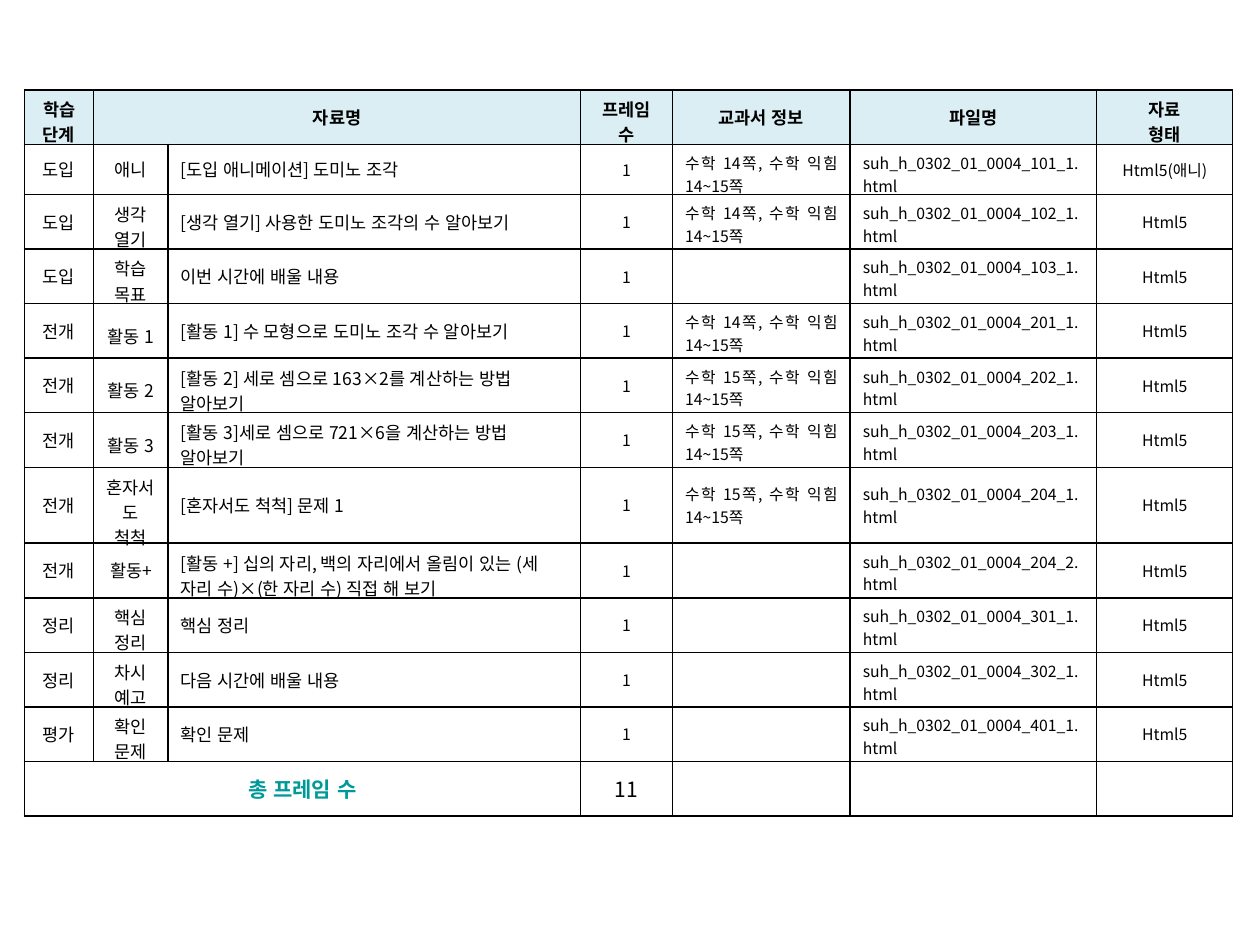
from math import ceil

from lxml import etree
from pptx import Presentation
from pptx.dml.color import RGBColor
from pptx.enum.text import MSO_ANCHOR, PP_ALIGN
from pptx.oxml.ns import qn
from pptx.util import Cm, Pt

CENTER = PP_ALIGN.CENTER
LEFT = PP_ALIGN.LEFT
JUSTIFY = PP_ALIGN.JUSTIFY
MIDDLE = MSO_ANCHOR.MIDDLE

FONT = "Noto Sans CJK KR"
COLORS = {"text": "000000", "border": "000000", "header": "DBEEF4", "total": "009999"}

COLUMN_WIDTHS = [1.4, 1.5, 8.31, 1.86, 3.58, 4.97, 2.74]
CHARACTERS_PER_LINE = [3, 3, 30, 4, 12, 16, 12]
ROW_HEIGHT = 1.1
SPECIAL_ROW_HEIGHTS = {1: 1.01, 7: 1.53}
MARGIN = 0.13
LINE_HEIGHT_PER_POINT = 0.05

BODY_STYLES = [
    (10, CENTER),
    (10, CENTER),
    (10, LEFT),
    (9, CENTER),
    (9, JUSTIFY),
    (9, JUSTIFY),
    (9, CENTER),
]

HEADER = ["학습 단계", "자료명", "", "프레임 수", "교과서 정보", "파일명", "자료\n형태"]
TOTAL = ["총 프레임 수", "", "", "11", "", "", ""]
LESSONS = [
    ("도입", "애니", "[도입 애니메이션] 도미노 조각", "14", "101_1"),
    ("도입", "생각 열기", "[생각 열기] 사용한 도미노 조각의 수 알아보기", "14", "102_1"),
    ("도입", "학습 목표", "이번 시간에 배울 내용", "", "103_1"),
    ("전개", "활동 1", "[활동 1] 수 모형으로 도미노 조각 수 알아보기", "14", "201_1"),
    ("전개", "활동 2", "[활동 2] 세로 셈으로 163×2를 계산하는 방법 알아보기", "15", "202_1"),
    ("전개", "활동 3", "[활동 3]세로 셈으로 721×6을 계산하는 방법 알아보기", "15", "203_1"),
    ("전개", "혼자서도 척척", "[혼자서도 척척] 문제 1", "15", "204_1"),
    ("전개", "활동+",
     "[활동 +] 십의 자리, 백의 자리에서 올림이 있는 (세 자리 수)×(한 자리 수) 직접 해 보기",
     "", "204_2"),
    ("정리", "핵심 정리", "핵심 정리", "", "301_1"),
    ("정리", "차시 예고", "다음 시간에 배울 내용", "", "302_1"),
    ("평가", "확인 문제", "확인 문제", "", "401_1"),
]


def lesson_texts(stage, activity, title, page, file_code):
    textbook = f"수학 {page}쪽, 수학 익힘 14~15쪽" if page else ""
    file_name = f"suh_h_0302_01_0004_{file_code}.html"
    file_type = "Html5(애니)" if activity == "애니" else "Html5"
    return [stage, activity, title, "1", textbook, file_name, file_type]


def bottom_margin(text, column, size, height):
    lines = ceil(len(text) / CHARACTERS_PER_LINE[column]) + text.count("\n")
    text_height = lines * size * LINE_HEIGHT_PER_POINT
    free = height - MARGIN - text_height * 1.022 - 0.01
    return round(min(MARGIN, free), 2)


def add_borders(cell):
    properties = cell._tc.get_or_add_tcPr()
    for side in ("a:lnL", "a:lnR", "a:lnT", "a:lnB"):
        line = etree.SubElement(properties, qn(side), w=str(Pt(1)))
        fill = etree.SubElement(line, qn("a:solidFill"))
        etree.SubElement(fill, qn("a:srgbClr"), val=COLORS["border"])


def format_paragraph(paragraph, size, alignment, color, bold):
    paragraph.alignment = alignment
    font = paragraph.font
    font.name = FONT
    font.size = Pt(size)
    font.bold = bold
    font.color.rgb = RGBColor.from_string(color)
    defaults = paragraph._p.pPr.find(qn("a:defRPr"))
    defaults.set("lang", "ko-KR")
    defaults.set("kern", "0")
    etree.SubElement(defaults, qn("a:ea"), typeface=FONT)
    if not paragraph.text:
        paragraph._p.get_or_add_endParaRPr().set("sz", str(size * 100))


def fill_cell(cell, text, size, alignment, color=COLORS["text"], bold=False, fill=None):
    add_borders(cell)
    if fill:
        cell.fill.solid()
        cell.fill.fore_color.rgb = RGBColor.from_string(fill)
    else:
        cell.fill.background()
    cell.vertical_anchor = MIDDLE
    cell.text = text
    for paragraph in cell.text_frame.paragraphs:
        format_paragraph(paragraph, size, alignment, color, bold)


def add_lesson_table(slide):
    row_count = len(LESSONS) + 2
    heights = [SPECIAL_ROW_HEIGHTS.get(row, ROW_HEIGHT) for row in range(row_count)]
    table = slide.shapes.add_table(
        row_count, len(COLUMN_WIDTHS), Cm(0.49), Cm(1.81),
        Cm(sum(COLUMN_WIDTHS)), Cm(sum(heights)),
    ).table
    table.first_row = False
    table.horz_banding = False
    for column, width in zip(table.columns, COLUMN_WIDTHS):
        column.width = Cm(width)
    for row, height in zip(table.rows, heights):
        row.height = Cm(height)

    for column, text in enumerate(HEADER):
        cell = table.cell(0, column)
        fill_cell(cell, text, 10, CENTER, bold=True, fill=COLORS["header"])
        cell.margin_bottom = Cm(bottom_margin(text, column, 10, heights[0]))
    for row, lesson in enumerate(LESSONS, start=1):
        for column, text in enumerate(lesson_texts(*lesson)):
            cell = table.cell(row, column)
            size, alignment = BODY_STYLES[column]
            fill_cell(cell, text, size, alignment)
            cell.margin_bottom = Cm(bottom_margin(text, column, size, heights[row]))
    last = row_count - 1
    for column, text in enumerate(TOTAL):
        is_label = column == 0
        color = COLORS["total"] if is_label else COLORS["text"]
        fill_cell(table.cell(last, column), text, 12, CENTER, color, is_label)

    table.cell(0, 1).merge(table.cell(0, 2))
    table.cell(last, 0).merge(table.cell(last, 2))


def main():
    presentation = Presentation()
    presentation.slide_width = Cm(25.4)
    presentation.slide_height = Cm(19.05)
    slide = presentation.slides.add_slide(presentation.slide_layouts[6])
    add_lesson_table(slide)
    presentation.save("out.pptx")


if __name__ == "__main__":
    main()
